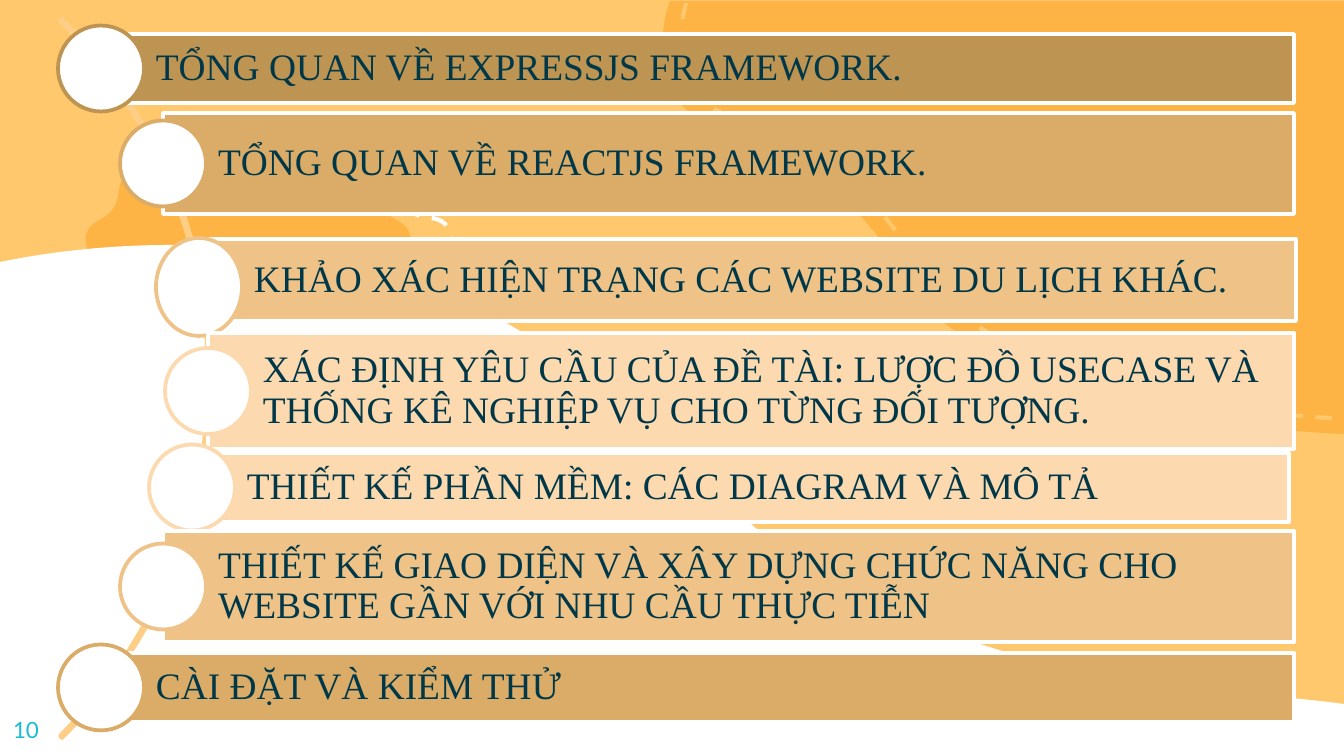
import math

import pptx
import pptx.dml.color
import pptx.enum.dml
import pptx.enum.shapes
import pptx.enum.text
import pptx.oxml
import pptx.oxml.ns
import pptx.util

RGBColor = pptx.dml.color.RGBColor
MSO_SHAPE = pptx.enum.shapes.MSO_SHAPE
MSO_ANCHOR = pptx.enum.text.MSO_ANCHOR
PP_ALIGN = pptx.enum.text.PP_ALIGN

EMU_PER_PX = 914400 / 134.4
SLIDE_WIDTH, SLIDE_HEIGHT = 1344, 756

WHITE = RGBColor(0xFF, 0xFF, 0xFF)
YELLOW = RGBColor(0xFF, 0xC8, 0x6D)
ORANGE = RGBColor(0xFE, 0xB4, 0x44)
ARC = RGBColor(0xFF, 0xCE, 0x86)
BRONZE = RGBColor(0xBD, 0x94, 0x51)
TAN = RGBColor(0xDA, 0xAC, 0x68)
SAND = RGBColor(0xEF, 0xC3, 0x87)
CREAM = RGBColor(0xFC, 0xD9, 0xAE)
NAVY = RGBColor(0x00, 0x38, 0x49)
TEAL = RGBColor(0x19, 0xBB, 0xD5)

BLOB_SIZE = (695, 433)
BLOB = [[(695, 0)], [(695, 433)], [(695, 433), (341, 423), (257, 277)],
        [(171, 130), (56, 142), (28, 98)], [(0, 52), (21, 0), (21, 0)]]
UPPER_WAVE_SIZE = (1496, 511)
UPPER_WAVE = [[(859, 511)], [(872, 489), (856, 461), (818, 449)],
              [(800, 442), (778, 440), (757, 440)],
              [(726, 440), (692, 443), (660, 443)],
              [(581, 442), (516, 419), (460, 393)],
              [(403, 367), (352, 337), (288, 318)],
              [(242, 305), (191, 298), (140, 298)],
              [(93, 298), (47, 303), (0, 315)],
              [(0, 17)], [(54, 6), (112, 0), (169, 0)],
              [(273, 0), (376, 18), (457, 53)],
              [(610, 121), (676, 233), (802, 317)],
              [(902, 381), (1040, 427), (1189, 444)],
              [(1258, 451), (1328, 454), (1392, 467)],
              [(1433, 477), (1472, 492), (1496, 511)]]
LOWER_WAVE_SIZE = (1064, 259)
LOWER_WAVE = [[(0, 259)], [(0, 22)], [(57, 8), (114, 0), (172, 0)],
              [(234, 0), (296, 8), (351, 24)],
              [(429, 47), (493, 84), (560, 115)],
              [(629, 147), (708, 175), (797, 176)],
              [(843, 176), (882, 172), (922, 172)],
              [(949, 172), (974, 175), (999, 182)],
              [(1044, 196), (1064, 232), (1047, 259)]]

AGENDA = [
    ("TỔNG QUAN VỀ EXPRESSJS FRAMEWORK.", (101, 34, 1193, 69), BRONZE),
    ("TỔNG QUAN VỀ REACTJS FRAMEWORK.", (163, 113, 1131, 101), TAN),
    ("KHẢO XÁC HIỆN TRẠNG CÁC WEBSITE DU LỊCH KHÁC.", (199, 239, 1097, 82), SAND, 98, 7),
    ("XÁC ĐỊNH YÊU CẦU CỦA ĐỀ TÀI: LƯỢC ĐỒ USECASE VÀ THỐNG KÊ NGHIỆP VỤ CHO TỪNG ĐỐI TƯỢNG.",
     (208, 333, 1086, 116), CREAM),
    ("THIẾT KẾ PHẦN MỀM: CÁC DIAGRAM VÀ MÔ TẢ", (192, 453, 1097, 69), CREAM),
    ("THIẾT KẾ GIAO DIỆN VÀ XÂY DỰNG CHỨC NĂNG CHO WEBSITE GẦN VỚI NHU CẦU THỰC TIỄN",
     (163, 531, 1131, 111), SAND),
    ("CÀI ĐẶT VÀ KIỂM THỬ", (101, 653, 1193, 69), TAN),
]


def px(length):
    return pptx.util.Emu(round(length * EMU_PER_PX))


def style_shape(shape, fill=None, line=None, width=2, dashed=False):
    shape.shadow.inherit = False
    if fill is None:
        shape.fill.background()
    else:
        shape.fill.solid()
        shape.fill.fore_color.rgb = fill
    if line is None:
        shape.line.fill.background()
        return
    shape.line.color.rgb = line
    shape.line.width = pptx.util.Pt(width)
    if dashed:
        shape.line.dash_style = pptx.enum.dml.MSO_LINE.DASH


def add_preset(slide, kind, box, **style):
    shape = slide.shapes.add_shape(kind, *map(px, box))
    style_shape(shape, **style)
    return shape


def add_curve(slide, box, size, segments, **style):
    width, height = size
    builder = slide.shapes.build_freeform(0, 0, scale=EMU_PER_PX)
    builder.add_line_segments([(width, 0), (width, height), (0, height)])
    shape = builder.convert_to_shape()
    shape.left, shape.top, shape.width, shape.height = map(px, box)
    outline = next(shape.element.iter(pptx.oxml.ns.qn("a:path")))
    for child in list(outline):
        outline.remove(child)
    commands = [("moveTo" if index == 0 else "lnTo" if len(points) == 1 else "cubicBezTo", points)
                for index, points in enumerate(segments)]
    for command, points in commands + [("close", [])]:
        marks = "".join(f'<a:pt x="{x}" y="{y}"/>' for x, y in points)
        outline.append(pptx.oxml.parse_xml(
            f'<a:{command} {pptx.oxml.ns.nsdecls("a")}>{marks}</a:{command}>'))
    style_shape(shape, **style)


def badge_segments(size, lobes=16, depth=12, handle=13):
    def knot(index, offset):
        angle = -math.pi * index / lobes
        radius = size / 2 - depth * (index % 2)
        return (round(size / 2 + radius * math.sin(angle) - offset * math.cos(angle)),
                round(size / 2 - radius * math.cos(angle) - offset * math.sin(angle)))

    return [[knot(0, 0)]] + [
        [knot(index, handle), knot(index + 1, -handle), knot(index + 1, 0)]
        for index in range(2 * lobes)]


def add_badge(slide, box, **style):
    size = box[2]
    add_curve(slide, box, (size, size), badge_segments(size), **style)


def add_background(slide):
    slide.background.fill.solid()
    slide.background.fill.fore_color.rgb = YELLOW
    add_badge(slide, (148, 173, 348, 348), line=WHITE, width=2.25, dashed=True)
    add_badge(slide, (74, 125, 348, 348), fill=ORANGE)
    add_curve(slide, (649, 1, 695, 433), BLOB_SIZE, BLOB, fill=ORANGE)
    add_curve(slide, (668, -4, 680, 423), BLOB_SIZE, BLOB,
              line=YELLOW, width=2.25, dashed=True)
    add_curve(slide, (0, 497, 1064, 259), LOWER_WAVE_SIZE, LOWER_WAVE, fill=WHITE)
    add_curve(slide, (0, 245, 1496, 511), UPPER_WAVE_SIZE, UPPER_WAVE, fill=WHITE)


def add_arc(slide, box):
    arc = add_preset(slide, MSO_SHAPE.BLOCK_ARC, box, line=ARC)
    for index, value in enumerate((189, 27, 0.003)):
        arc.adjustments[index] = value


def set_text(shape, text, margins, size, font, color):
    text_frame = shape.text_frame
    text_frame.word_wrap = True
    (text_frame.margin_left, text_frame.margin_top,
     text_frame.margin_right, text_frame.margin_bottom) = map(px, margins)
    text_frame.text = text
    paragraph = text_frame.paragraphs[0]
    paragraph.alignment = PP_ALIGN.LEFT
    run = paragraph.runs[0]
    run.font.size = pptx.util.Pt(size)
    run.font.name = font
    run.font.color.rgb = color
    return paragraph


def add_agenda_item(slide, text, box, color, marker_height=86, marker_drop=0):
    left, top, width, height = box
    bar = add_preset(slide, MSO_SHAPE.RECTANGLE, box, fill=color, line=WHITE)
    bar.text_frame.vertical_anchor = MSO_ANCHOR.MIDDLE
    paragraph = set_text(bar, text, (55, 8, 8, 8), 20, "Times New Roman", NAVY)
    paragraph.line_spacing = 0.9
    marker_top = top + (height - marker_height) / 2 + marker_drop
    add_preset(slide, MSO_SHAPE.OVAL, (left - 43, marker_top, 86, marker_height),
               fill=WHITE, line=color)


def add_slide_number(slide, box):
    text_box = slide.shapes.add_textbox(*map(px, box))
    set_text(text_box, "10", (13, 13, 13, 13), 12, "Lato", TEAL)


def main():
    presentation = pptx.Presentation()
    presentation.slide_width = px(SLIDE_WIDTH)
    presentation.slide_height = px(SLIDE_HEIGHT)
    slide = presentation.slides.add_slide(presentation.slide_layouts[6])
    add_background(slide)
    add_arc(slide, (-806, -130, 1017, 1017))
    for item in AGENDA:
        add_agenda_item(slide, *item)
    add_slide_number(slide, (0, 703, 81, 53))
    presentation.save("out.pptx")


if __name__ == "__main__":
    main()
